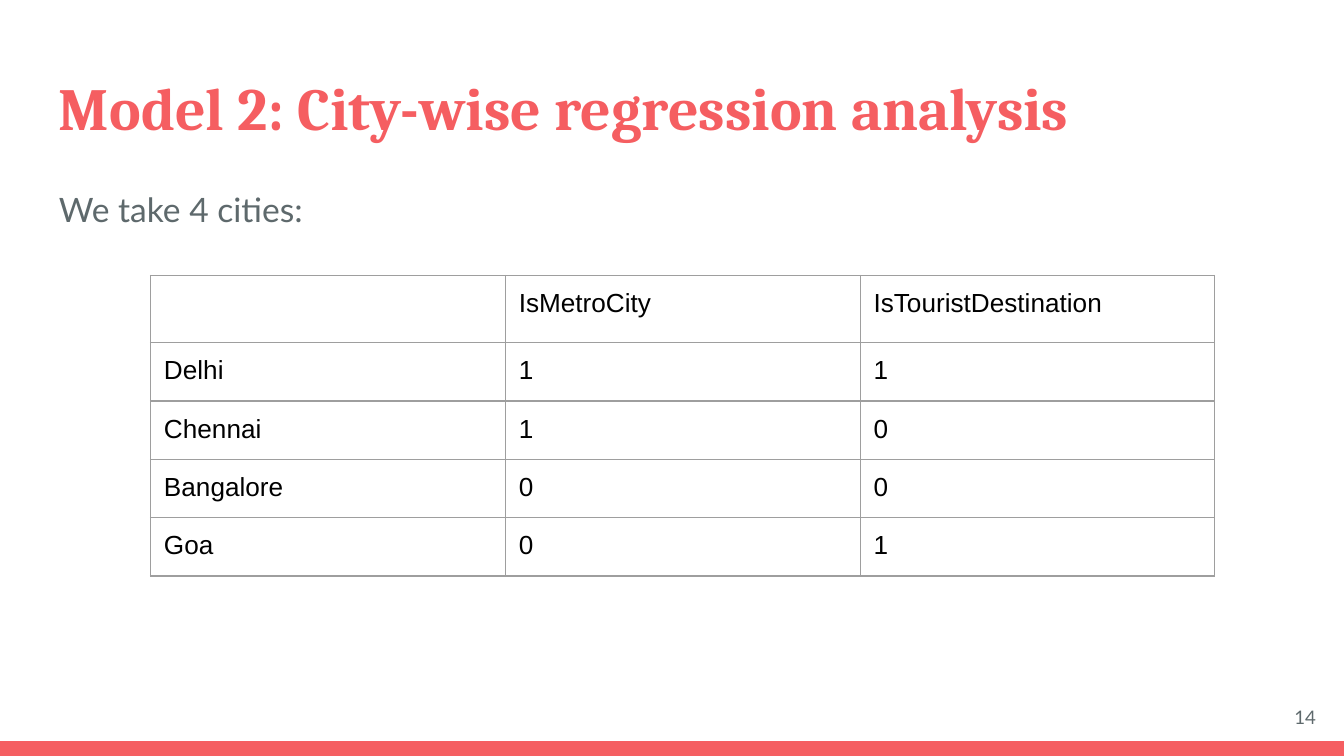
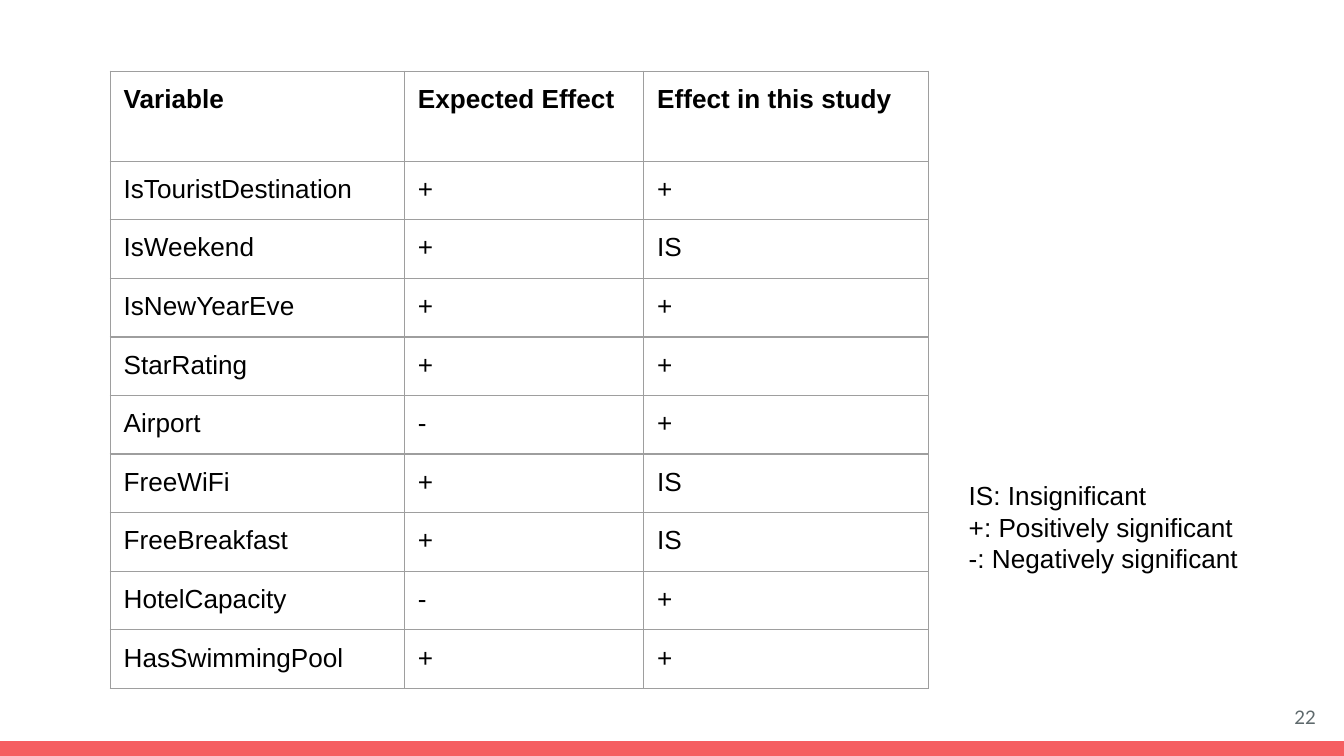
from lxml import etree
from pptx import Presentation, util as u
from pptx.dml.color import RGBColor
from pptx.enum import shapes, text
from pptx.oxml import ns

COLS, ROWS = 100, 56.25  # grid of square units over the slide
UNIT = u.Inches(0.1)
CORAL, SLATE, BLACK, GREY = "F55E61", "5E696C", "000000", "9E9E9E"


def rgb(code):
    return RGBColor.from_string(code)


def grid(*cells):
    return [round(n * UNIT) for n in cells]


def sub(node, tag, **attrs):
    return etree.SubElement(node, ns.qn(tag), **attrs)


class Deck:
    pad = UNIT
    line = u.Pt(0.75)

    def __init__(self):
        self.prs = Presentation()
        self.prs.slide_width, self.prs.slide_height = grid(COLS, ROWS)
        self.slide = None

    def page(self, number):
        """Start a slide with its bottom band and page number."""
        self.slide = self.prs.slides.add_slide(self.prs.slide_layouts[6])
        band = self.slide.shapes.add_shape(
            shapes.MSO_SHAPE.RECTANGLE, *grid(0, ROWS - 1.1, COLS, 1.1))
        band.shadow.inherit = False
        band.fill.solid()
        band.fill.fore_color.rgb = rgb(CORAL)
        band.line.fill.background()
        box = self.text(str(number), (92.9, 51.2, 6, 4.3), 10, "Lato", SLATE)
        box.vertical_anchor = text.MSO_ANCHOR.MIDDLE
        box.paragraphs[0].alignment = text.PP_ALIGN.RIGHT

    def inset(self, item):
        item.margin_left = item.margin_right = self.pad
        item.margin_top = item.margin_bottom = self.pad

    def style(self, frame, size, face, color, bold=False):
        for para in frame.paragraphs:
            for run in para.runs:
                font = run.font
                font.size, font.name, font.bold = u.Pt(size), face, bold
                font.color.rgb = rgb(color)

    def text(self, words, place, size=14, face="Arial", color=BLACK, bold=False):
        frame = self.slide.shapes.add_textbox(*grid(*place)).text_frame
        frame.word_wrap = True
        self.inset(frame)
        frame.text = words
        self.style(frame, size, face, color, bold)
        return frame

    def title(self, words):
        self.text(words, (3.4, 4.3, 93.2, 6.8), 32, "Cambria", CORAL, True)

    def body(self, words):
        frame = self.text(words, (3.4, 12.6, 93.2, 37.4), 18, "Lato", SLATE)
        for para in frame.paragraphs:
            para.line_spacing = 1.15
            para.space_after = u.Pt(16)

    def border(self, cell):
        props = cell._tc.get_or_add_tcPr()
        for side in "LRTB":
            edge = sub(props, f"a:ln{side}", w=str(self.line))
            sub(sub(edge, "a:solidFill"), "a:srgbClr", val=GREY)

    def table(self, data, left, top, widths, heights, bold=False):
        """Draw a bordered table; bold applies to its first row."""
        table = self.slide.shapes.add_table(
            len(data), len(widths),
            *grid(left, top, sum(widths), sum(heights))).table
        table.first_row = table.horz_banding = False
        for col, width in zip(table.columns, grid(*widths)):
            col.width = width
        for row, height in zip(table.rows, grid(*heights)):
            row.height = height
        for r, line in enumerate(data):
            for c, words in enumerate(line):
                cell = table.cell(r, c)
                self.inset(cell)
                self.border(cell)
                cell.fill.background()
                frame = cell.text_frame
                frame.text = words
                self.style(frame, 14, "Arial", BLACK, bold and r == 0)
                if not words:
                    end = sub(frame.paragraphs[0]._p, "a:endParaRPr", sz="1800")
                    sub(end, "a:latin", typeface="Arial")


CITIES = [
    ("", "IsMetroCity", "IsTouristDestination"),
    ("Delhi", "1", "1"),
    ("Chennai", "1", "0"),
    ("Bangalore", "0", "0"),
    ("Goa", "0", "1"),
]
EFFECTS = [
    ("Variable", "Expected Effect", "Effect in this study"),
    ("IsTouristDestination", "+", "+"),
    ("IsWeekend", "+", "IS"),
    ("IsNewYearEve", "+", "+"),
    ("StarRating", "+", "+"),
    ("Airport", "-", "+"),
    ("FreeWiFi", "+", "IS"),
    ("FreeBreakfast", "+", "IS"),
    ("HotelCapacity", "-", "+"),
    ("HasSwimmingPool", "+", "+"),
]
LEGEND = ["IS: Insignificant", "+: Positively significant",
          "-: Negatively significant"]


def main():
    deck = Deck()

    deck.page(14)
    deck.title("Model 2: City-wise regression analysis")
    deck.body("We take 4 cities:")
    deck.table(CITIES, 11.2, 20.5, [26.4] * 3, [4.2] * len(CITIES))

    deck.page(22)
    deck.table(EFFECTS, 8.2, 5.3, [21.9, 17.8, 21.2],
               [6.7] + [4.36] * (len(EFFECTS) - 1), bold=True)
    deck.text("\n".join(LEGEND), (71.1, 34.7, 22.4, 8.9))

    deck.prs.save("out.pptx")


if __name__ == "__main__":
    main()
